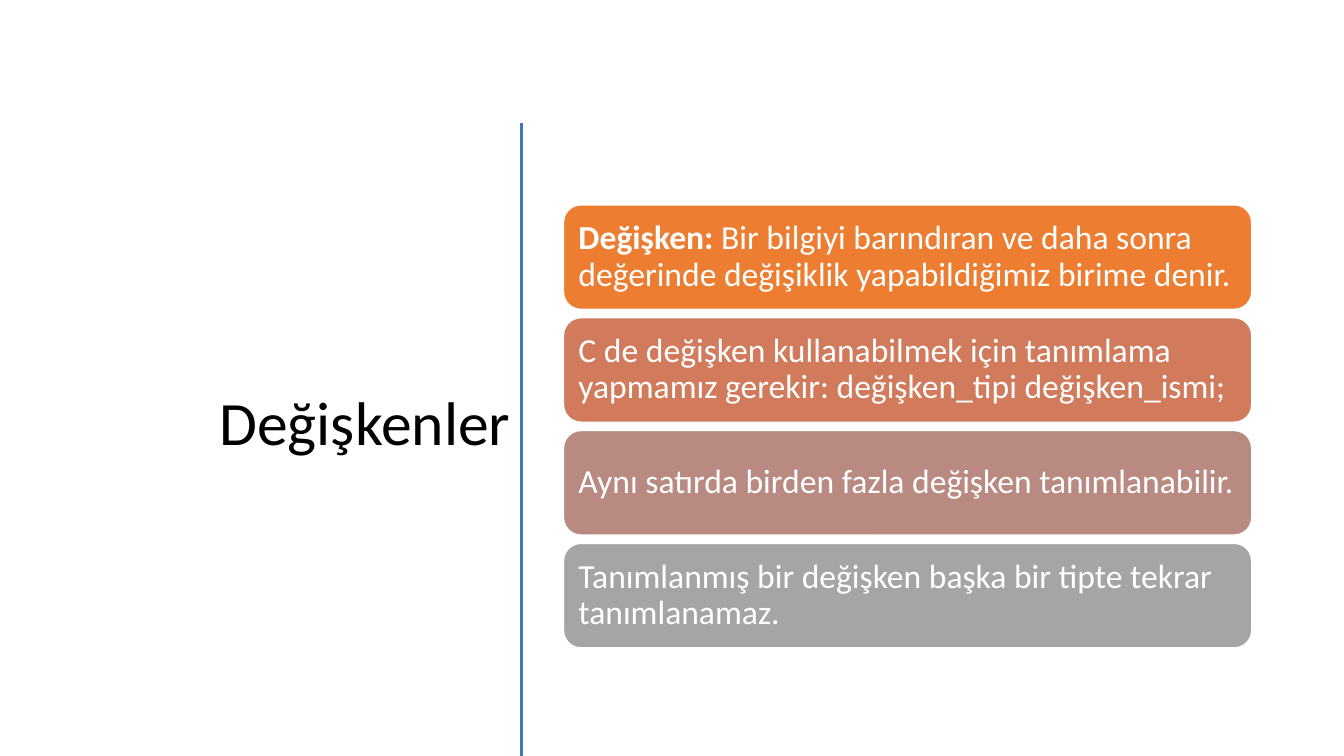
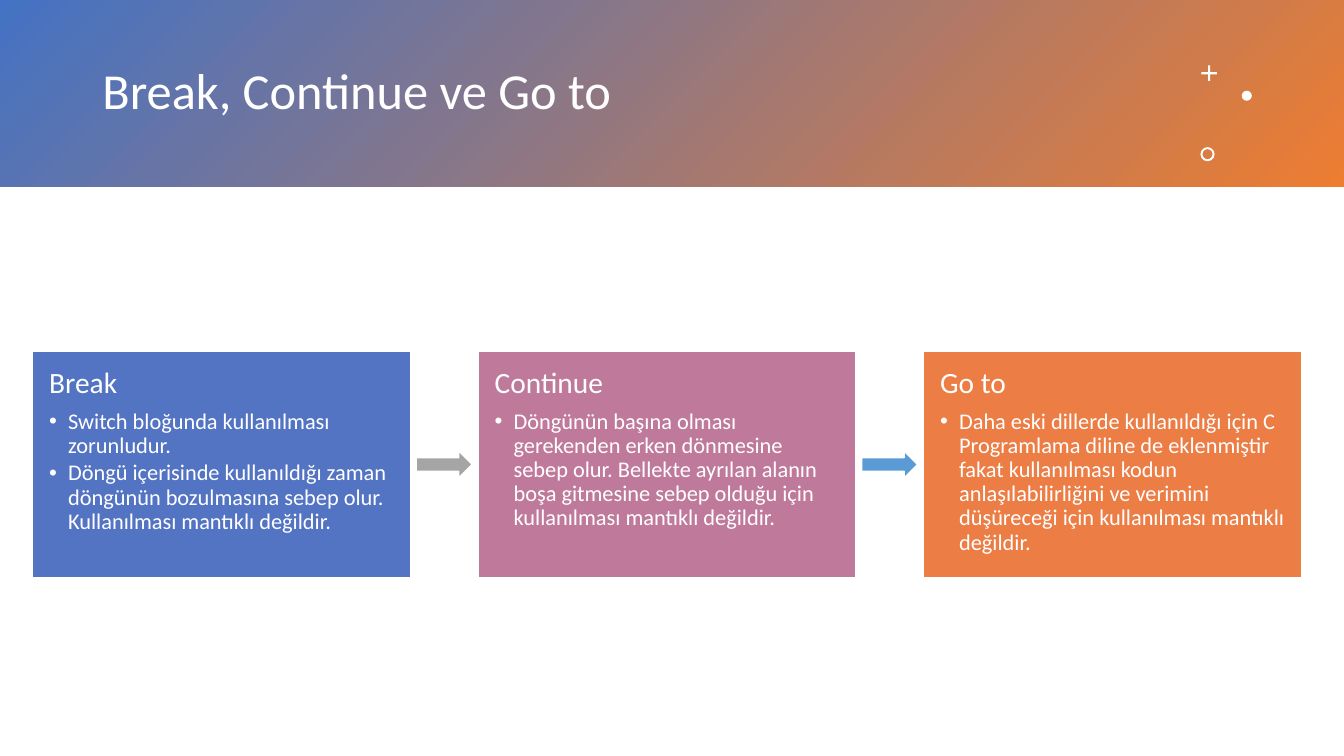
from dataclasses import dataclass
from lxml import etree
from pptx import Presentation
from pptx.dml.color import RGBColor
from pptx.enum.shapes import MSO_CONNECTOR, MSO_SHAPE
from pptx.enum.text import MSO_ANCHOR, MSO_AUTO_SIZE, PP_ALIGN
from pptx.oxml.ns import qn
from pptx.util import Pt

RECT, ROUND = MSO_SHAPE.RECTANGLE, MSO_SHAPE.ROUNDED_RECTANGLE
ARROW, CROSS = MSO_SHAPE.RIGHT_ARROW, MSO_SHAPE.CROSS
OVAL, DONUT = MSO_SHAPE.OVAL, MSO_SHAPE.DONUT
LEFT, RIGHT = PP_ALIGN.LEFT, PP_ALIGN.RIGHT
TOP, MIDDLE = MSO_ANCHOR.TOP, MSO_ANCHOR.MIDDLE
STRAIGHT = MSO_CONNECTOR.STRAIGHT
FIXED = MSO_AUTO_SIZE.NONE


@dataclass(frozen=True)
class Theme:
    font: str = "Calibri"
    white: str = "FFFFFF"
    black: str = "000000"
    blue: str = "4472C4"
    orange: str = "ED7D31"
    big: int = 44
    title: int = 36
    fact: int = 24
    head: int = 21
    item: int = 16
    lead: float = 0.9


THEME = Theme()

VARS = "Değişkenler"
FACTS = [
    ("ED7D31", [("Değişken: ", True),
                ("Bir bilgiyi barındıran ve daha sonra değerinde değişiklik "
                 "yapabildiğimiz birime denir.", False)]),
    ("D17B5C", [("C de değişken kullanabilmek için tanımlama yapmamız gerekir: "
                 "değişken_tipi değişken_ismi;", False)]),
    ("B98A82", [("Aynı satırda birden fazla değişken tanımlanabilir.", False)]),
    ("A5A5A5", [("Tanımlanmış bir değişken başka bir tipte tekrar "
                 "tanımlanamaz.", False)]),
]

JUMPS = "Break, Continue ve Go to"
STEPS = [
    ("5373C3", "Break", [
        "Switch bloğunda kullanılması zorunludur.",
        "Döngü içerisinde kullanıldığı zaman döngünün bozulmasına sebep olur. "
        "Kullanılması mantıklı değildir."]),
    ("BF7A9B", "Continue", [
        "Döngünün başına olması gerekenden erken dönmesine sebep olur. "
        "Bellekte ayrılan alanın boşa gitmesine sebep olduğu için "
        "kullanılması mantıklı değildir."]),
    ("EC7D45", "Go to", [
        "Daha eski dillerde kullanıldığı için C Programlama diline de "
        "eklenmiştir fakat kullanılması kodun anlaşılabilirliğini ve verimini "
        "düşüreceği için kullanılması mantıklı değildir."]),
]
ARROWS = ["A5A5A5", "5B9BD5"]
MARKS = [
    (CROSS, 858.2, 46.8, 11, 0.43),
    (OVAL, 887, 64.8, 7.2, None),
    (DONUT, 857.5, 105.1, 10.1, 0.14),
]


def rgb(code):
    return RGBColor.from_string(code)


def draw(slide, kind, x, y, w, h, fill=None, line=None):
    shape = slide.shapes.add_shape(kind, Pt(x), Pt(y), Pt(w), Pt(h))
    shape.shadow.inherit = False
    if fill:
        shape.fill.solid()
        shape.fill.fore_color.rgb = rgb(fill)
    if line:
        shape.line.color.rgb = rgb(line)
        shape.line.width = Pt(1)
    else:
        shape.line.fill.background()
    return shape


def frame(shape, anchor, pad):
    text = shape.text_frame
    text.word_wrap = True
    text.auto_size = FIXED
    text.vertical_anchor = anchor
    text.margin_left = text.margin_right = Pt(pad)
    text.margin_top = text.margin_bottom = Pt(pad)
    return text


def write(para, runs, size, color=THEME.white, align=LEFT, after=0):
    para.alignment = align
    para.line_spacing = THEME.lead
    para.space_before = Pt(0)
    para.space_after = Pt(after)
    for words, bold in runs:
        run = para.add_run()
        run.text = words
        run.font.name = THEME.font
        run.font.size = Pt(size)
        run.font.bold = bold
        run.font.color.rgb = rgb(color)


def bullet(para, dent):
    props = para._p.get_or_add_pPr()
    props.set("marL", str(Pt(dent)))
    props.set("indent", str(-Pt(dent)))
    etree.SubElement(props, qn("a:buFont")).set("typeface", "Arial")
    etree.SubElement(props, qn("a:buChar")).set("char", "•")


def start(deck, words, box, size, color, align):
    slide = deck.slides.add_slide(deck.slide_layouts[5])
    title = slide.shapes.title
    title.left, title.top, title.width, title.height = map(Pt, box)
    text = frame(title, MIDDLE, 7.2)
    write(text.paragraphs[0], [(words, False)], size, color, align)
    return slide


def facts(deck):
    slide = start(deck, VARS, (0, 84, 372, 440), THEME.big, THEME.black, RIGHT)
    rule = slide.shapes.add_connector(STRAIGHT, Pt(372.5), Pt(88), Pt(372.5), Pt(540))
    rule.line.color.rgb = rgb(THEME.blue)
    rule.line.width = Pt(2)
    etree.SubElement(rule._element.spPr, qn("a:effectLst"))
    x, y, w, h, gap = 402.5, 146.3, 491.6, 74.7, 5.9
    for i, (fill, runs) in enumerate(FACTS):
        box = draw(slide, ROUND, x, y + i * (h + gap), w, h, fill, THEME.white)
        write(frame(box, MIDDLE, 7.2).paragraphs[0], runs, THEME.fact)


def steps(deck):
    slide = start(deck, JUMPS, (66, 24, 774, 85.5), THEME.title, THEME.white, LEFT)
    band = draw(slide, RECT, 0, 0, 960, 133.5)
    band.fill.gradient()
    band.fill.gradient_angle = 315
    for stop, color in zip(band.fill.gradient_stops, (THEME.blue, THEME.orange)):
        stop.color.rgb = rgb(color)
    slide.shapes.title.element.addprevious(band.element)
    for kind, x, y, size, adj in MARKS:
        mark = draw(slide, kind, x, y, size, size, THEME.white)
        if adj:
            mark.adjustments[0] = adj

    x, y, w, h, gap = 23.2, 250.8, 270, 162, 48.2
    for i, (fill, head, items) in enumerate(STEPS):
        box = draw(slide, RECT, x + i * (w + gap), y, w, h, fill, THEME.white)
        text = frame(box, TOP, 12)
        write(text.paragraphs[0], [(head, False)], THEME.head, after=7.35)
        for item in items:
            para = text.add_paragraph()
            write(para, [(item, False)], THEME.item, after=2.4)
            bullet(para, 13.5)
    wide, high = 40, 19.4
    for i, fill in enumerate(ARROWS):
        left = x + w + i * (w + gap) + (gap - wide) / 2
        draw(slide, ARROW, left, y + (h - high) / 2, wide, high, fill, THEME.white)


def main():
    deck = Presentation()
    deck.slide_width, deck.slide_height = Pt(960), Pt(540)
    facts(deck)
    steps(deck)
    deck.save("out.pptx")


if __name__ == "__main__":
    main()
